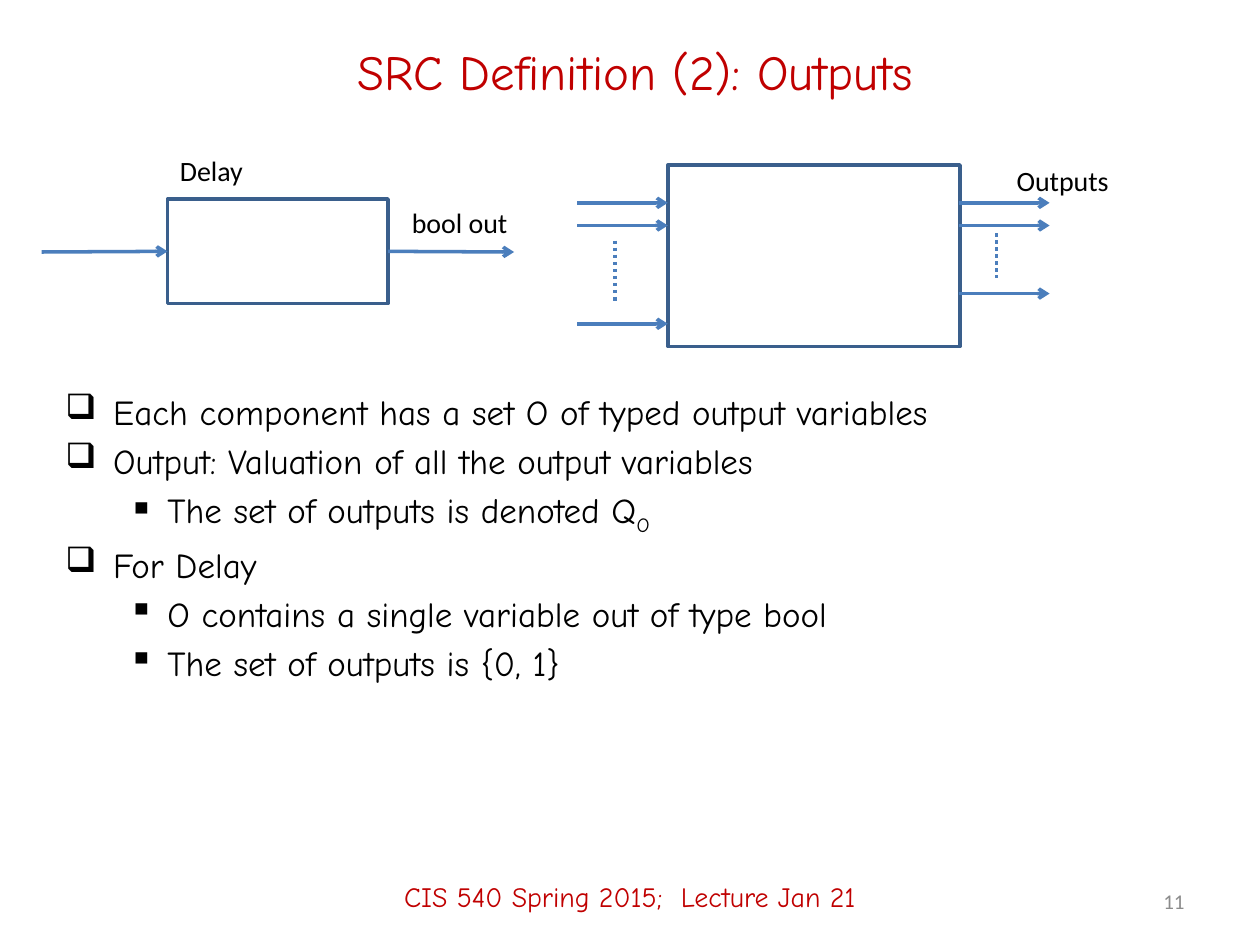
from lxml import etree
from pptx import Presentation
from pptx import util as u
from pptx.dml.color import RGBColor
from pptx.enum import dml, shapes, text
from pptx.oxml.ns import qn

RED = RGBColor(0xC0, 0x00, 0x00)
BLACK = RGBColor(0x00, 0x00, 0x00)
GRAY = RGBColor(0x8C, 0x8C, 0x8C)
OUTLINE = RGBColor(0x3A, 0x5F, 0x8C)
ARROW = RGBColor(0x4B, 0x7E, 0xBC)
HAND, PLAIN = "Comic Neue", "Calibri"

deck = Presentation()
deck.slide_width, deck.slide_height = u.Inches(10), u.Inches(7.5)
page = deck.slides.add_slide(deck.slide_layouts[6])


def add_label(words, left, top, width, height, size, font, color,
              align=text.PP_ALIGN.LEFT, wrap=True):
    box = page.shapes.add_textbox(u.Inches(left), u.Inches(top),
                                  u.Inches(width), u.Inches(height))
    frame = box.text_frame
    frame.word_wrap = wrap
    frame.vertical_anchor = text.MSO_ANCHOR.MIDDLE if wrap else text.MSO_ANCHOR.TOP
    para = frame.paragraphs[0]
    para.alignment = align
    span = para.add_run()
    span.text = words
    span.font.size, span.font.name = u.Pt(size), font
    span.font.color.rgb = color


def add_line(x1, y1, x2, y2, dotted=False):
    line = page.shapes.add_connector(shapes.MSO_CONNECTOR.STRAIGHT, u.Inches(x1),
                                     u.Inches(y1), u.Inches(x2), u.Inches(y2))
    line.line.color.rgb = ARROW
    line.line.width = u.Pt(2)
    if dotted:
        line.line.dash_style = dml.MSO_LINE.ROUND_DOT
    else:
        etree.SubElement(line.line._get_or_add_ln(), qn("a:tailEnd"), type="arrow")
    etree.SubElement(line._element.spPr, qn("a:effectLst"))
    return line


# Title
add_label("SRC Definition (2): Outputs", 0.75, 0.17, 8.58, 0.78, 28, HAND, RED,
          text.PP_ALIGN.CENTER)

# Component rectangles
components = []
for left, top, width, height in [(1.33, 1.58, 1.75, 0.83), (5.3, 1.31, 2.32, 1.44)]:
    component = page.shapes.add_shape(shapes.MSO_SHAPE.RECTANGLE, u.Inches(left),
                                      u.Inches(top), u.Inches(width), u.Inches(height))
    component.shadow.inherit = False
    component.fill.background()
    component.line.color.rgb = OUTLINE
    component.line.width = u.Pt(2)
    components.append(component)
delay = components[0]

# Delay input and output
add_line(0.33, 2, 1.33, 2).end_connect(delay, 1)
add_line(3.08, 2, 4.08, 2).begin_connect(delay, 3)

# General component: inputs on the left, outputs on the right
for start, last_y, dots_x, dots_top, dots_bottom in [(4.58, 2.57, 4.88, 1.91, 2.39),
                                                     (7.61, 2.33, 7.91, 1.85, 2.21)]:
    for y in (1.61, 1.79, last_y):
        add_line(start, y, start + 0.72, y)
    add_line(dots_x, dots_top, dots_x, dots_bottom, dotted=True)

# Diagram labels
for words, left, top, width in [("Delay", 1.33, 1.17, 0.71),
                                ("bool out", 3.17, 1.58, 0.97),
                                ("Outputs", 7.97, 1.25, 0.94)]:
    add_label(words, left, top, width, 0.37, 16, PLAIN, BLACK, wrap=False)

# Bulleted text: level, then runs as (words, baseline shift in percent)
points = [
    (0, [("Each component has a set O of typed output variables", 0)]),
    (0, [("Output: Valuation of all the output variables", 0)]),
    (1, [("The set of outputs is denoted Q", 0), ("O", -25)]),
    (0, [("For Delay", 0)]),
    (1, [("O contains a single variable out of type bool", 0)]),
    (1, [("The set of outputs is {0, 1}", 0)]),
]
bullets = [("❑", 0.38, 0.38), ("▪", 0.81, 0.31)]
body = page.shapes.add_textbox(u.Inches(0.42), u.Inches(3), u.Inches(9.17), u.Inches(3.83))
frame = body.text_frame
frame.word_wrap = True
frame.margin_top = u.Inches(0.1)
for index, (level, runs) in enumerate(points):
    para = frame.add_paragraph() if index else frame.paragraphs[0]
    para.level = level
    if index:
        para.space_before = u.Pt(4)
    mark, margin, hang = bullets[level]
    props = para._p.get_or_add_pPr()
    props.set("marL", str(u.Inches(margin)))
    props.set("indent", str(-u.Inches(hang)))
    etree.SubElement(props, qn("a:buChar"), char=mark)
    for words, shift in runs:
        span = para.add_run()
        span.text = words
        span.font.size, span.font.name = u.Pt(20), HAND
        span.font.color.rgb = BLACK
        if shift:
            span._r.get_or_add_rPr().set("baseline", str(shift * 1000))

# Footer and page number
add_label("CIS 540 Spring 2015;  Lecture Jan 21", 0, 6.72, 10, 0.78, 16, HAND, RED,
          text.PP_ALIGN.CENTER)
add_label("11", 7.17, 6.95, 2.33, 0.4, 12, PLAIN, GRAY, text.PP_ALIGN.RIGHT)

deck.save("out.pptx")
